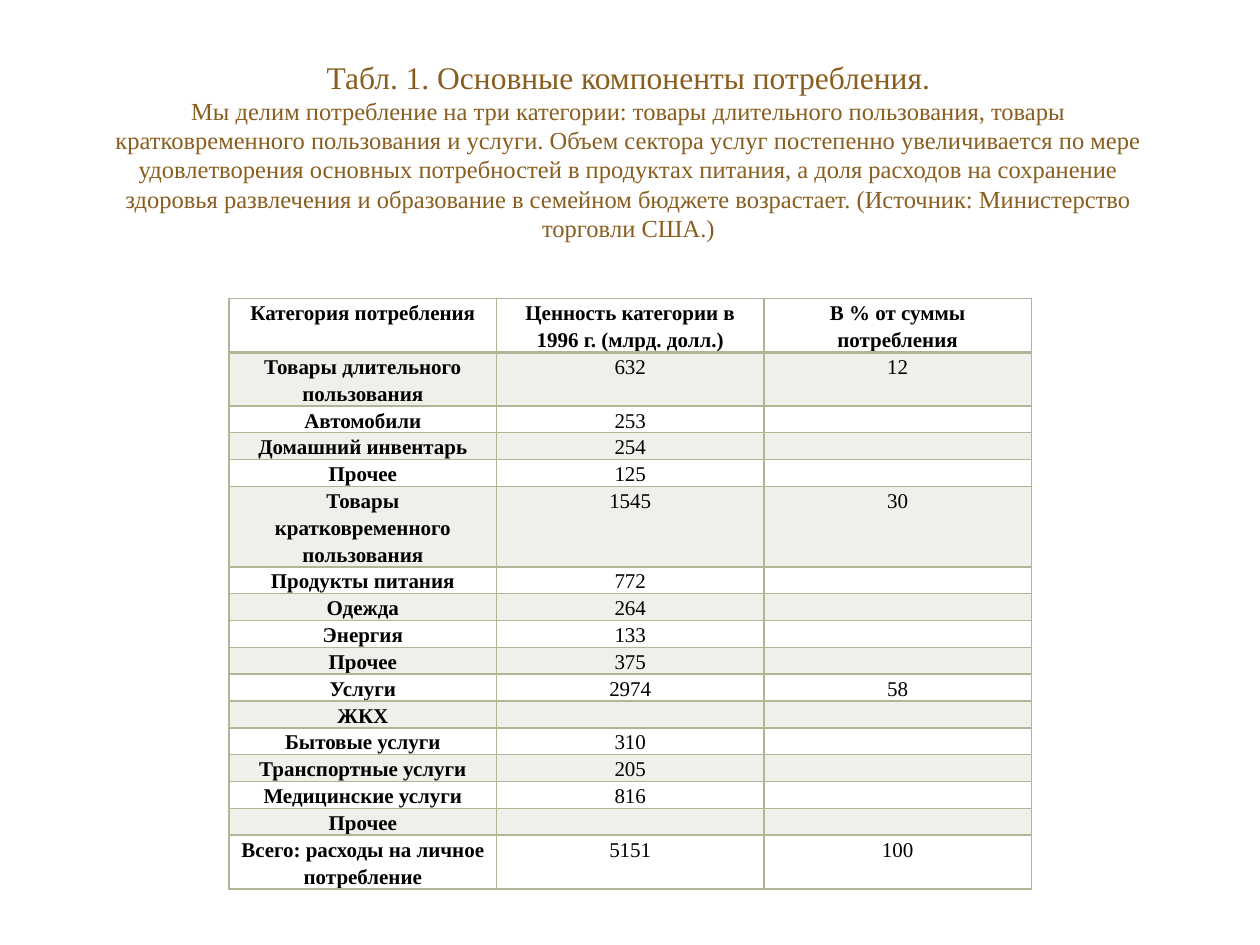
from lxml.etree import SubElement, Element
from pptx import Presentation
from pptx.dml.color import RGBColor
from pptx.enum.text import MSO_ANCHOR as Anchor, PP_ALIGN as Align
from pptx.oxml.ns import qn
from pptx.util import Cm, Pt

HEADINGS = ("Категория потребления", "Ценность категории в 1996 г. (млрд. долл.)",
            "В % от суммы потребления")
SPENDING = [
    ("Товары длительного пользования", "632", "12"),
    ("Автомобили", "253", ""),
    ("Домашний инвентарь", "254", ""),
    ("Прочее", "125", ""),
    ("Товары кратковременного пользования", "1545", "30"),
    ("Продукты питания", "772", ""),
    ("Одежда", "264", ""),
    ("Энергия", "133", ""),
    ("Прочее", "375", ""),
    ("Услуги", "2974", "58"),
    ("ЖКХ", "", ""),
    ("Бытовые услуги", "310", ""),
    ("Транспортные услуги", "205", ""),
    ("Медицинские услуги", "816", ""),
    ("Прочее", "", ""),
    ("Всего: расходы на личное потребление", "5151", "100"),
]
TALL_ROWS = {0, 1, 5, 16}
TITLE = "Табл. 1. Основные компоненты потребления."
SUMMARY = (
    "Мы делим потребление на три категории: товары длительного пользования, товары "
    "кратковременного пользования и услуги. Объем сектора услуг постепенно "
    "увеличивается по мере удовлетворения основных потребностей в продуктах питания, "
    "а доля расходов на сохранение здоровья развлечения и образование в семейном "
    "бюджете возрастает. (Источник: Министерство торговли США.)"
)


def color(code):
    return RGBColor.from_string(code)


def write(para, text, size=12, ink="000000", bold=False, font="Times New Roman"):
    span = para.add_run()
    span.text = text
    span.font.name = font
    span.font.size = Pt(size)
    span.font.bold = bold
    span.font.color.rgb = color(ink)


class SlideBuilder:
    heading_ink = "895D1D"
    accent = "AEB795"
    tint = 20

    def __init__(self, slide):
        self.slide = slide

    def heading(self, left, top, width, height):
        box = self.slide.shapes.add_textbox(Cm(left), Cm(top), Cm(width), Cm(height))
        frame = box.text_frame
        frame.word_wrap = True
        frame.vertical_anchor = Anchor.MIDDLE
        para = frame.paragraphs[0]
        para.alignment = Align.CENTER
        write(para, TITLE, size=18, ink=self.heading_ink)
        para.add_line_break()
        write(para, SUMMARY, size=14, ink=self.heading_ink)

    def table(self, left, top, column_width, line_height):
        rows = [HEADINGS, *SPENDING]
        heights = [Cm(line_height * (2 if i in TALL_ROWS else 1)) for i in range(len(rows))]
        table = self.slide.shapes.add_table(
            len(rows), len(HEADINGS), Cm(left), Cm(top),
            Cm(column_width * len(HEADINGS)), sum(heights)).table
        table.first_row = table.horz_banding = False
        for column in table.columns:
            column.width = Cm(column_width)
        for i, texts in enumerate(rows):
            table.rows[i].height = heights[i]
            for j, text in enumerate(texts):
                cell = table.cell(i, j)
                self.cell_text(cell, text, bold=i == 0 or j == 0)
                self.cell_fill(cell, shaded=i % 2 == 1)
                self.cell_borders(cell, top=2 if i == 1 else 1, bottom=2 if i == 0 else 1)

    def cell_text(self, cell, text, bold):
        cell.margin_left = cell.margin_right = Cm(0.18)
        cell.margin_top = cell.margin_bottom = 0
        para = cell.text_frame.paragraphs[0]
        para.alignment = Align.CENTER
        para.line_spacing = 1.15
        if text:
            write(para, text, bold=bold)
        else:
            SubElement(para._p, qn("a:endParaRPr"), sz="1200")

    def cell_fill(self, cell, shaded):
        if not shaded:
            cell.fill.background()
            return
        cell.fill.solid()
        cell.fill.fore_color.rgb = color(self.accent)
        tone = cell._tc.tcPr.find(".//" + qn("a:srgbClr"))
        SubElement(tone, qn("a:alpha"), val=str(self.tint * 1000))

    def cell_borders(self, cell, top, bottom):
        """Place the four border lines ahead of the fill, as the schema demands."""
        widths = {"lnL": 1, "lnR": 1, "lnT": top, "lnB": bottom}
        for position, (side, width) in enumerate(widths.items()):
            line = Element(qn("a:" + side), w=str(Pt(width)))
            fill = SubElement(line, qn("a:solidFill"))
            SubElement(fill, qn("a:srgbClr"), val=self.accent)
            cell._tc.tcPr.insert(position, line)


def main():
    deck = Presentation()
    deck.slide_width, deck.slide_height = Cm(25.4), Cm(19.05)
    page = SlideBuilder(deck.slides.add_slide(deck.slide_layouts[6]))
    page.table(left=4.62, top=6.02, column_width=5.39, line_height=0.51)
    page.heading(left=1.9, top=1.57, width=21.54, height=2.92)
    deck.save("out.pptx")


if __name__ == "__main__":
    main()
